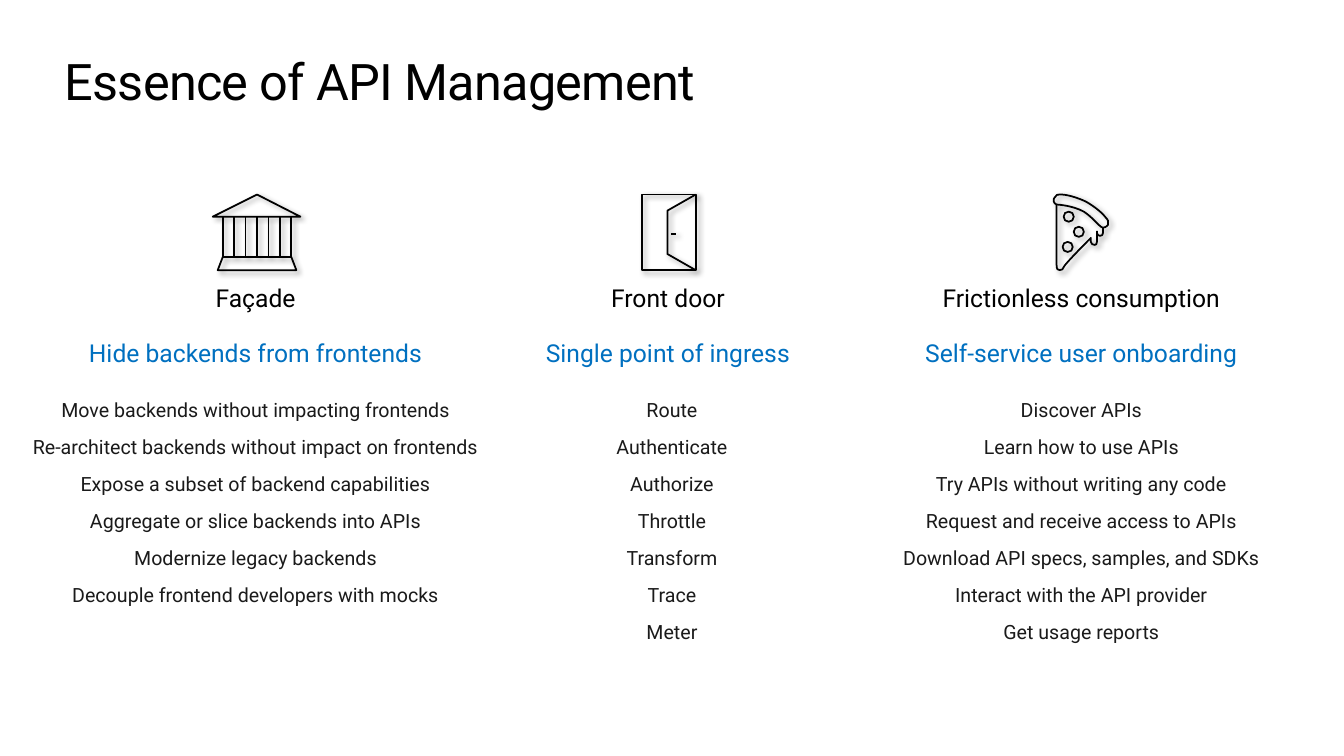
"""Build the slide on the essence of API management."""
from lxml.etree import SubElement
from pptx import Presentation
from pptx.dml.color import RGBColor
from pptx.enum.text import MSO_ANCHOR as Anchor, PP_ALIGN as Align
from pptx.oxml.ns import qn
from pptx.util import Inches, Pt

BLACK, GREY, BLUE = "000000", "1A1A1A", "0070C0"
NO_STYLE = "{2D5ABB26-0587-4C30-8999-92F81FD0307C}"
TABLE_TOP, TABLE_WIDTH = 1.78, 3.79
ROW_HEIGHTS = (0.94, 0.53, 0.53, 2.91)
LIST_TOP = 3.95

COLUMNS = [
    {
        "table_left": 0.64, "list_left": 0.2, "list_size": (4.67, 2.09),
        "heading": "Façade", "benefit": "Hide backends from frontends",
        "items": [
            "Move backends without impacting frontends",
            "Re-architect backends without impact on frontends",
            "Expose a subset of backend capabilities",
            "Aggregate or slice backends into APIs",
            "Modernize legacy backends",
            "Decouple frontend developers with mocks",
        ],
    },
    {
        "table_left": 4.73, "list_left": 5.88, "list_size": (1.57, 2.46),
        "heading": "Front door", "benefit": "Single point of ingress",
        "items": ["Route", "Authenticate", "Authorize", "Throttle",
                  "Transform", "Trace", "Meter"],
    },
    {
        "table_left": 8.83, "list_left": 8.87, "list_size": (3.71, 2.46),
        "heading": "Frictionless consumption",
        "benefit": "Self-service user onboarding",
        "items": [
            "Discover APIs",
            "Learn how to use APIs",
            "Try APIs without writing any code",
            "Request and receive access to APIs",
            "Download API specs, samples, and SDKs",
            "Interact with the API provider",
            "Get usage reports",
        ],
    },
]


def rgb(value):
    """Turn a hex string into a colour."""
    return RGBColor.from_string(value)


def apply(target, values):
    """Set every attribute named in a dict of format values."""
    for name, value in values.items():
        setattr(target, name, value)


def write(para, text, size, color, **layout):
    """Put one formatted span of text into a paragraph."""
    apply(para, layout)
    span = para.add_run()
    span.text = text
    apply(span.font, {"name": "Roboto", "size": Pt(size)})
    span.font.color.rgb = rgb(color)
    return span


def add_box(page, left, top, width, height):
    """Add a wrapping text box without margins and return its frame."""
    box = page.shapes.add_textbox(*map(Inches, (left, top, width, height)))
    apply(box.text_frame, {
        "word_wrap": True, "margin_left": 0, "margin_right": 0,
        "margin_top": 0, "margin_bottom": 0,
    })
    return box.text_frame


def add_title(page, text):
    """Add the slightly tightened slide title."""
    frame = add_box(page, 0.64, 0.5, 12.05, 0.61)
    span = write(frame.paragraphs[0], text, 36, BLACK)
    span.font._element.set("spc", "-50")


def add_column_table(page, left, heading, benefit):
    """Add a plain one-column table with a heading and a benefit."""
    frame = page.shapes.add_table(
        len(ROW_HEIGHTS), 1, Inches(left), Inches(TABLE_TOP),
        Inches(TABLE_WIDTH), Inches(sum(ROW_HEIGHTS)))
    table = frame.table
    apply(table, {"first_row": False, "horz_banding": False})
    table._tbl.tblPr.find(qn("a:tableStyleId")).text = NO_STYLE
    for row, height in zip(table.rows, ROW_HEIGHTS):
        row.height = Inches(height)
        cell = row.cells[0]
        cell.fill.background()
        apply(cell, {f"margin_{side}": Inches(0.1)
                     for side in ("left", "top", "right", "bottom")})
    labels = [(1, heading, BLACK, Anchor.TOP), (2, benefit, BLUE, Anchor.MIDDLE)]
    for index, text, color, anchor in labels:
        cell = table.cell(index, 0)
        cell.vertical_anchor = anchor
        write(cell.text_frame.paragraphs[0], text, 17.6, color,
              alignment=Align.CENTER)


def add_list(page, left, size, items):
    """Add a centred list of short statements."""
    frame = add_box(page, left, LIST_TOP, *size)
    for index, item in enumerate(items):
        para = frame.add_paragraph() if index else frame.paragraphs[0]
        write(para, item, 14, GREY, alignment=Align.CENTER,
              space_before=Pt(9.6 if index else 0))


def circle(x, y, r=0.05, k=0.03):
    """Return a closed circle as four Bézier curves."""
    return [(x, y - r),
            (x - k, y - r, x - r, y - k, x - r, y), (x - r, y + k, x - k, y + r, x, y + r),
            (x + k, y + r, x + r, y + k, x + r, y), (x + r, y - k, x + k, y - r, x, y - r)]


def pairs(step):
    """Split a line or curve step into points on the slide."""
    return [(Inches(x), Inches(y)) for x, y in zip(step[::2], step[1::2])]


def bend(icon, steps):
    """Join three line segments into one curve for each six-number step."""
    segments = iter(list(icon._element.iter(qn("a:lnTo"))))
    for step in steps:
        first = next(segments)
        if len(step) == 6:
            first.tag = qn("a:cubicBezTo")
            for segment in (next(segments), next(segments)):
                first.append(segment[0])
                segment.getparent().remove(segment)


def add_icon(page, strokes):
    """Draw strokes of lines and curves as one outline with a soft shadow."""
    builder = page.shapes.build_freeform(*pairs(strokes[0][0])[0])
    for index, (start, *steps) in enumerate(strokes):
        if index:
            builder.move_to(*pairs(start)[0])
        points = [point for step in steps for point in pairs(step)]
        builder.add_line_segments(points, close=points[-1] == pairs(start)[0])
    icon = builder.convert_to_shape()
    bend(icon, [step for stroke in strokes for step in stroke[1:]])
    icon.fill.background()
    icon.line.color.rgb = rgb(BLACK)
    icon.line.width = Pt(1.25)
    icon.shadow.inherit = False
    effects = icon._element.spPr.find(qn("a:effectLst"))
    shadow = SubElement(effects, qn("a:outerShdw"), blurRad=str(Pt(4)),
                        dist=str(Pt(3)), dir="2700000", algn="tl", rotWithShape="0")
    tint = SubElement(shadow, qn("a:srgbClr"), val=BLACK)
    SubElement(tint, qn("a:alpha"), val="40000")


def facade_strokes():
    """Return the roof, base and evenly spaced pillars."""
    roof = [(2.55, 1.93), (2.98, 2.15), (2.11, 2.15), (2.55, 1.93)]
    base = [(2.21, 2.55), (2.16, 2.68), (2.94, 2.68), (2.89, 2.55), (2.21, 2.55)]
    left, right, gaps = 2.21, 2.89, 6
    places = [left + (right - left) * n / gaps for n in range(gaps + 1)]
    return [roof, base] + [[(x, 2.55), (x, 2.15)] for x in places]


def door_strokes():
    """Return the frame, the open leaf and the handle."""
    frame = [(6.9, 2.68), (6.37, 2.68), (6.37, 1.93), (6.9, 1.93), (6.9, 2.68)]
    leaf = [(6.9, 1.93), (6.62, 2.09), (6.62, 2.52), (6.9, 2.68)]
    return [frame, leaf, [(6.66, 2.32), (6.71, 2.32)]]


def pizza_strokes():
    """Return the crust, toppings, slice and drip."""
    crust = [
        (10.77, 2), (10.91, 2.08, 10.96, 2.15, 10.96, 2.15),
        (10.99, 2.18, 11, 2.2, 10.99, 2.23), (10.98, 2.25, 10.94, 2.27, 10.92, 2.25),
        (10.89, 2.23, 10.84, 2.16, 10.75, 2.1), (10.64, 2.04, 10.5, 2.03, 10.48, 2.03),
        (10.45, 2.02, 10.44, 1.98, 10.46, 1.96), (10.47, 1.93, 10.49, 1.93, 10.53, 1.93),
        (10.53, 1.93, 10.62, 1.93, 10.77, 2)]
    wedge = [
        (10.48, 2.03), (10.48, 2.63), (10.48, 2.67, 10.49, 2.68, 10.51, 2.68),
        (10.53, 2.68, 10.55, 2.67, 10.55, 2.65), (10.56, 2.62, 10.82, 2.36, 10.82, 2.36),
        (10.82, 2.4), (10.82, 2.42, 10.84, 2.43, 10.86, 2.43),
        (10.87, 2.43, 10.88, 2.42, 10.88, 2.4), (10.88, 2.29)]
    drip = [(10.88, 2.31), (10.88, 2.33, 10.9, 2.34, 10.91, 2.34),
            (10.93, 2.34, 10.94, 2.33, 10.94, 2.31), (10.94, 2.26)]
    toppings = [circle(10.6, 2.15), circle(10.7, 2.3), circle(10.59, 2.45)]
    return [crust, *toppings, wedge, drip]


def main():
    """Build and save the deck."""
    deck = Presentation()
    apply(deck, {"slide_width": Inches(13.33), "slide_height": Inches(7.5)})
    page = deck.slides.add_slide(deck.slide_layouts[6])
    add_title(page, "Essence of API Management")
    icons = [facade_strokes(), door_strokes(), pizza_strokes()]
    for column, strokes in zip(COLUMNS, icons):
        add_column_table(page, column["table_left"], column["heading"], column["benefit"])
        add_icon(page, strokes)
        add_list(page, column["list_left"], column["list_size"], column["items"])
    deck.save("out.pptx")


if __name__ == "__main__":
    main()
